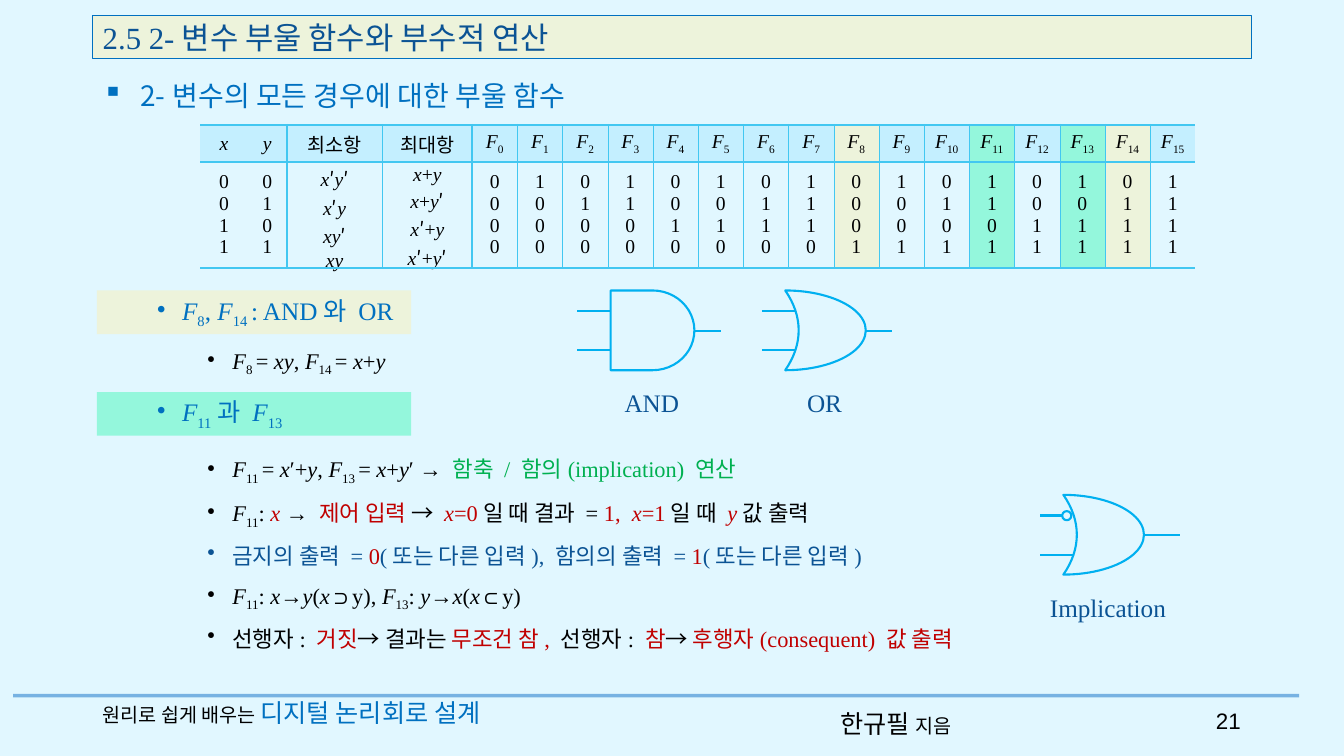
"""Build the slide on Boolean functions of two variables."""
from itertools import groupby

from lxml import etree
from pptx import Presentation
from pptx.dml.color import RGBColor
from pptx.enum.shapes import MSO_CONNECTOR, MSO_SHAPE
from pptx.enum.text import MSO_ANCHOR, PP_ALIGN
from pptx.oxml.ns import qn
from pptx.util import Cm, Pt

RECT, OVAL = MSO_SHAPE.RECTANGLE, MSO_SHAPE.OVAL
DELAY, MOON = MSO_SHAPE.FLOWCHART_DELAY, MSO_SHAPE.MOON
LINE = MSO_CONNECTOR.STRAIGHT
TOP, MID = MSO_ANCHOR.TOP, MSO_ANCHOR.MIDDLE
LEFT, MIDDLE, RIGHT = PP_ALIGN.LEFT, PP_ALIGN.CENTER, PP_ALIGN.RIGHT

THEME = {
    "latin": "Times New Roman", "hangul": "Noto Sans CJK KR", "sans": "Arial",
    "back": "E1F7FF", "rule": "0F6FC6", "black": "000000", "blue": "0070C0",
    "navy": "0B5394", "red": "C00000", "green": "00B050", "gate": "00B0F0",
    "cream": "EDF3DB", "mint": "94F7DC", "head": "C4EFFF", "grid": "42C7F1",
    "title": 22, "topic": 20, "band": 18, "body": 16, "small": 14,
}
INK = {"r": "red", "g": "green", "n": "navy", "b": "blue"}


def func(name):
    """Return the runs of a function name with its index."""
    return [("F", "i"), (name, "s")]


TITLE = [("2.5 2-변수 부울 함수와 부수적 연산", "")]
TOPIC = [("2-변수의 모든 경우에 대한 부울 함수", "h")]
BOOK = [("원리로 쉽게 배우는 ", ""), ("디지털 논리회로 설계", "bL")]
AUTHOR = [("한규필 ", "hL"), ("지음", "h")]
PAGE = [("21", "a")]
BANDS = [
    (7.32, "cream", func("8") + [(", ", "")] + func("14 ") + [(": AND와 OR", "")]),
    (9.88, "mint", func("11") + [("과 ", "")] + func("13")),
]
BASIC = [func("8 ") + [("= ", ""), ("xy", "i"), (", ", "")] + func("14 ")
         + [("= ", ""), ("x", "i"), ("+", ""), ("y", "i")]]
IMPLY = [
    func("11 ") + [("= ", ""), ("x", "i"), ("′+", ""), ("y", "i"), (", ", "")]
    + func("13 ") + [("= ", ""), ("x", "i"), ("+", ""), ("y", "i"), ("′ → ", ""),
                     ("함축 / 함의(implication) 연산", "g")],
    func("11") + [(": ", ""), ("x ", "ir"), ("→ ", ""), ("제어 입력 ", "r"),
                  ("→ ", ""), ("x", "ir"), ("=0", "r"), ("일 때 결과 = ", ""),
                  ("1,  ", "r"), ("x", "ir"), ("=1", "r"), ("일 때 ", ""),
                  ("y", "ir"), ("값 출력", "")],
    [("금지의 출력 = ", "n"), ("0", "r"), ("(또는 다른 입력), 함의의 출력 = ", "n"),
     ("1", "r"), ("(또는 다른 입력)", "n")],
    func("11") + [(": ", ""), ("x", "i"), ("→", ""), ("y", "i"), ("(", ""),
                  ("x", "i"), ("⊃y), ", "")]
    + func("13") + [(": ", ""), ("y", "i"), ("→", ""), ("x", "i"), ("(", ""),
                    ("x", "i"), ("⊂y)", "")],
    [("선행자: ", ""), ("거짓", "r"), ("→ 결과는 ", ""), ("무조건 참, ", "r"),
     ("선행자: ", ""), ("참", "r"), ("→ ", ""), ("후행자(consequent) 값 출력", "r")],
]
HEADS = [[("x", "i")], [("y", "i")], [("최소항", "h")], [("최대항", "h")]]
MINS = ["x′y′", "x′y", "xy′", "xy"]
MAXES = ["x+y", "x+y′", "x′+y", "x′+y′"]
MARKS = {8: "cream", 11: "mint", 13: "mint", 14: "cream"}
WIDTHS = [1.19, 0.99, 2.41, 2.26] + [1.14] * 16
EDGES = [0, 0, 1.7, 0.28, 1.7] + [0.28] * 15 + [0]
GATES = [
    [(DELAY, 15.39, 7.32, 2.11, 14.55, (15.39, 15.39), 18.16, "AND", 15.49, 1.91),
     (MOON, 19.79, 7.32, 2.03, 19.2, (20.04, 20.04), 22.48, "OR", 20.09, 1.4)],
    [(MOON, 26.8, 12.47, 2.03, 26.21, (26.77, 27.05), 29.74,
      "Implication", 26.21, 3.48)],
]


def tint(name):
    return RGBColor.from_string(THEME[name])


def write(frame, lines, size, ink="black", align=LEFT, anchor=MID, wrap=True,
          bullet=None, level=0, indent=(0, 0), before=0, space=None):
    """Fill a frame with paragraphs made of (text, style) runs."""
    frame.word_wrap, frame.vertical_anchor = wrap, anchor
    for num, runs in enumerate(lines):
        para = frame.add_paragraph() if num else frame.paragraphs[0]
        para.alignment, para.level = align, level
        para.space_before = Pt(before)
        if space:
            para.line_spacing = space
        if bullet:
            props = para._p.get_or_add_pPr()
            props.set("marL", str(Cm(indent[0])))
            props.set("indent", str(Cm(indent[1])))
            etree.SubElement(props, qn("a:buChar"), char=bullet)
        for text, style in runs:
            run = para.add_run()
            run.text = text
            font = run.font
            font.size = Pt(THEME["band" if "L" in style else size])
            font.italic = "i" in style
            shade = next((INK[key] for key in style if key in INK), ink)
            font.color.rgb = tint(shade)
            face = "hangul" if "h" in style else "sans" if "a" in style else "latin"
            font.name = THEME[face]
            props = run._r.get_or_add_rPr()
            etree.SubElement(props, qn("a:ea"), typeface=THEME["hangul"])
            if "s" in style:
                props.set("baseline", "-25000")


def label(shapes, box, lines, size, **rest):
    write(shapes.add_textbox(*map(Cm, box)).text_frame, lines, size, **rest)


def shape(shapes, kind, box, fill=None, line=None, width=1.5):
    item = shapes.add_shape(kind, *map(Cm, box))
    item.shadow.inherit = False
    if fill:
        item.fill.solid()
        item.fill.fore_color.rgb = tint(fill)
    else:
        item.fill.background()
    if line:
        item.line.color.rgb, item.line.width = tint(line), Pt(width)
    else:
        item.line.fill.background()
    return item


def wire(shapes, start, end, y, ink="gate", width=1.5):
    item = shapes.add_connector(LINE, Cm(start), Cm(y), Cm(end), Cm(y))
    item.line.color.rgb, item.line.width = tint(ink), Pt(width)
    etree.SubElement(item._element.spPr, qn("a:effectLst"))
    return item


def border(cell, col):
    props = cell._tc.get_or_add_tcPr()
    sides = (("a:lnL", EDGES[col]), ("a:lnR", EDGES[col + 1]),
             ("a:lnT", 1.7), ("a:lnB", 1.7))
    for spot, (tag, width) in enumerate(sides):
        edge = etree.Element(qn(tag), w=str(Pt(width)))
        paint = etree.SubElement(edge, qn("a:solidFill" if width else "a:noFill"))
        if width:
            etree.SubElement(paint, qn("a:srgbClr"), val=THEME["grid"])
        props.insert(spot, edge)


def term(text):
    """Set letters in italics and primes in the Hangul face."""
    kind = lambda char: "i" if char.isalpha() else "h" if char == "′" else ""
    return [("".join(part), style) for style, part in groupby(text, kind)]


def truth(shapes):
    bits = range(4)
    cols = [[str(row >> 1) for row in bits], [str(row & 1) for row in bits], MINS, MAXES]
    cols += [[str(num >> row & 1) for row in bits] for num in range(16)]
    heads = HEADS + [func(str(num)) for num in range(16)]
    box = (5.05, 3.15, sum(WIDTHS), 3.53)
    table = shapes.add_table(2, len(cols), *map(Cm, box)).table
    table.first_row = table.horz_banding = False
    table.rows[0].height, table.rows[1].height = Cm(0.86), Cm(2.67)
    for col, (head, terms) in enumerate(zip(heads, cols)):
        table.columns[col].width = Cm(WIDTHS[col])
        mark = MARKS.get(col - 4)
        lines = [term(text) for text in terms]
        for row, (text, fill) in enumerate((([head], mark or "head"), (lines, mark))):
            cell = table.cell(row, col)
            if row:
                cell.margin_left = cell.margin_right = Cm(0.18)
                cell.margin_top = cell.margin_bottom = Cm(0.05)
            write(cell.text_frame, text, "small", align=MIDDLE)
            cell.vertical_anchor = MID
            if fill:
                cell.fill.solid()
                cell.fill.fore_color.rgb = tint(fill)
            else:
                cell.fill.background()
            border(cell, col)


def gate(shapes, kind, x, y, wide, start, ends, stop, name, left, span):
    body = shape(shapes, kind, (x, y, wide, 2.01), line="gate")
    if kind == MOON:
        body.adjustments[0] = 0.833
        body._element.spPr.xfrm.set("flipH", "1")
    for end, drop in zip(ends, (0.52, 1.51)):
        wire(shapes, start, end, y + drop)
    wire(shapes, x + wide, stop, y + 1.01)
    label(shapes, (left, y + 2.32, span, 1.02), [[(name, "")]], "band",
          ink="navy", wrap=False)


def main():
    deck = Presentation()
    deck.slide_width, deck.slide_height = Cm(33.87), Cm(19.05)
    slide = deck.slides.add_slide(deck.slide_layouts[6])
    slide.background.fill.solid()
    slide.background.fill.fore_color.rgb = tint("back")
    shapes = slide.shapes

    rule = wire(shapes, 0.33, 32.74, 17.53, "rule", 2.5)
    color = rule._element.spPr.find(".//" + qn("a:srgbClr"))
    etree.SubElement(color, qn("a:alpha"), val="50000")
    label(shapes, (20.93, 17.73, 3.89, 1.02), [AUTHOR], "small")
    label(shapes, (2.34, 17.45, 11.76, 1.02), [BOOK], "small")
    label(shapes, (29.95, 17.65, 1.57, 1.02), [PAGE], "body", align=RIGHT)

    title = shape(shapes, RECT, (2.34, 0.38, 29.21, 1.09), "cream", "blue", 0.75)
    write(title.text_frame, [TITLE], "title", ink="navy")
    label(shapes, (2.34, 1.83, 18.14, 1.12), [TOPIC], "topic", ink="blue",
          bullet="▪", indent=(0.95, -0.95))
    truth(shapes)
    for y, fill, runs in BANDS:
        band = shape(shapes, RECT, (2.44, y, 7.92, 1.1), fill)
        write(band.text_frame, [runs], "band", ink="blue", bullet="•", level=1,
              indent=(1.9, -0.63), before=5)
    for gates in GATES:
        group = shapes.add_group_shape().shapes
        for parts in gates:
            gate(group, *parts)
    shape(group, OVAL, (26.77, 12.88, 0.23, 0.23), line="gate")
    for y, high, lines in ((8.46, 0.86, BASIC), (11.2, 5.99, IMPLY)):
        label(shapes, (2.44, y, 22.83, high), lines, "body", anchor=TOP, bullet="•",
              level=2, indent=(3.17, -0.63), before=5, space=1.2)
    deck.save("out.pptx")


if __name__ == "__main__":
    main()
